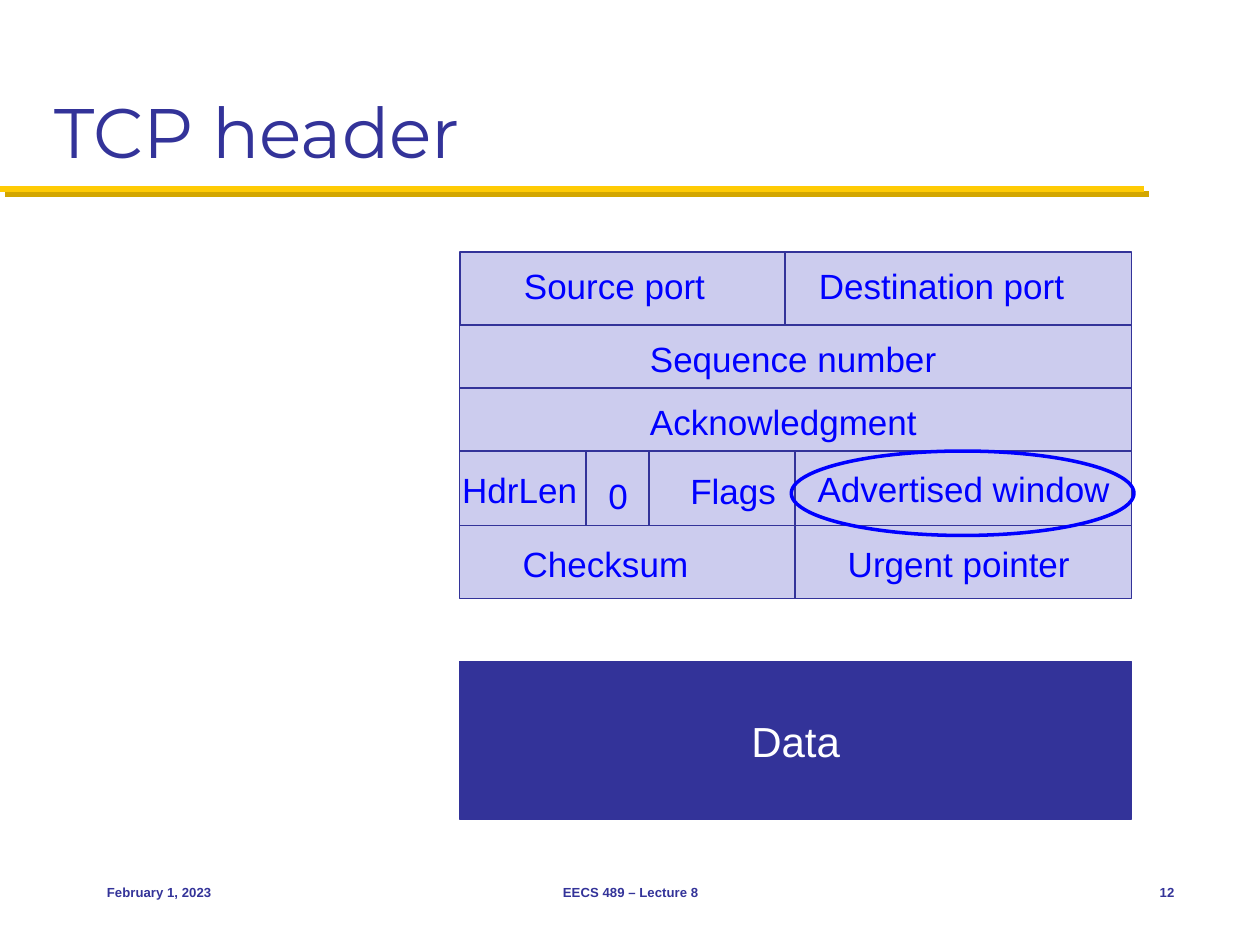
from itertools import pairwise
from lxml import etree
from pptx import Presentation
from pptx.dml.color import RGBColor as RGB
from pptx.enum.shapes import MSO_CONNECTOR as LINK, MSO_SHAPE as SHAPE
from pptx.enum.text import MSO_ANCHOR as ANCHOR, MSO_AUTO_SIZE as FIT, PP_ALIGN as ALIGN
from pptx.oxml.ns import qn
from pptx.util import Inches, Pt

COLORS = {"ink": "333399", "cell": "CCCCEE", "label": "0000FF",
          "rule": "FFCB05", "shade": "D3A600", "white": "FFFFFF"}


class Page:
    font = "Arial"

    def __init__(self, deck):
        self.slide = deck.slides.add_slide(deck.slide_layouts[5])
        self.shapes = self.slide.shapes

    def color(self, name):
        return RGB.from_string(COLORS[name])

    def words(self, shape, text, size, color, align=ALIGN.LEFT,
              anchor=ANCHOR.MIDDLE, font=None, bold=False, wrap=False):
        frame = shape.text_frame
        frame.text = text
        frame.word_wrap = wrap
        frame.vertical_anchor = anchor
        para = frame.paragraphs[0]
        para.alignment = align
        face = para.runs[0].font
        face.name, face.size, face.bold = font or self.font, Pt(size), bold
        face.color.rgb = self.color(color)

    def title(self, text, *box):
        shape = self.shapes.title
        shape.left, shape.top, shape.width, shape.height = map(Inches, box)
        self.words(shape, text, 40, "ink", anchor=ANCHOR.BOTTOM,
                   font="Montserrat", wrap=True)
        shape.text_frame.auto_size = FIT.NONE

    def block(self, *box, fill=None, line=None, width=0.75, kind=SHAPE.RECTANGLE):
        shape = self.shapes.add_shape(kind, *map(Inches, box))
        shape.shadow.inherit = False
        if fill:
            shape.fill.solid()
            shape.fill.fore_color.rgb = self.color(fill)
        else:
            shape.fill.background()
        if line:
            shape.line.color.rgb = self.color(line)
            shape.line.width = Pt(width)
        else:
            shape.line.fill.background()
        return shape

    def label(self, text, left, top, width, fill="cell"):
        shape = self.block(left, top, width, 0.43, fill=fill)
        self.words(shape, text, 20, "label", anchor=ANCHOR.TOP)

    def note(self, text, left, width, align):
        box = self.shapes.add_textbox(*map(Inches, (left, 6.83, width, 0.5)))
        self.words(box, text, 7.5, "ink", align, bold=True)

    def line(self, *ends, color="ink", width=0.75, shade=None):
        link = self.shapes.add_connector(LINK.STRAIGHT, *map(Inches, ends))
        link.line.color.rgb = self.color(color)
        link.line.width = Pt(width)
        props = link._element.spPr
        effect = etree.SubElement(props, qn("a:effectLst"))
        if shade:
            cast = etree.SubElement(effect, qn("a:outerShdw"), dist=str(Pt(4.2)),
                                    dir="2700000", algn="ctr", rotWithShape="0")
            etree.SubElement(cast, qn("a:srgbClr"), val=COLORS[shade])


deck = Presentation()
deck.slide_width, deck.slide_height = Inches(10), Inches(7.5)
page = Page(deck)

# Title and rule
page.line(0, 1.5, 9.08, 1.5, color="rule", width=3.5, shade="shade")
page.title("TCP header", 0.33, 0.17, 9.33, 1.25)

# Header fields: row edges, and the inner split of each row
LEFT, RIGHT = 3.65, 8.98
tops = [2, 2.58, 3.08, 3.58, 4.17, 4.75]
splits = [[6.23], [], [], [6.31], [6.31]]
for (top, low), split in zip(pairwise(tops), splits):
    for start, end in pairwise([LEFT, *split, RIGHT]):
        page.block(start, top, end - start, low - top, fill="cell", line="ink")

# Field names
for text, left, top, width in [
        ("Source port", 4.06, 2.05, 1.64),
        ("Destination port", 6.4, 2.05, 2.15),
        ("Sequence number", 5.06, 2.63, 2.47),
        ("Acknowledgment", 5.06, 3.13, 2.34),
        ("Advertised window", 6.39, 3.66, 2.54),
        ("Flags", 5.38, 3.68, 0.89),
        ("0", 4.73, 3.72, 0.36),
        ("Checksum", 4.05, 4.26, 1.51),
        ("Urgent pointer", 6.63, 4.26, 1.96)]:
    page.label(text, left, top, width)
page.label("HdrLen", 3.57, 3.67, 1.17, fill=None)
for x in (4.65, 5.15):
    page.line(x, tops[3], x, tops[4])

# Data and highlight
data = page.block(LEFT, 5.25, RIGHT - LEFT, 1.25, fill="ink", line="ink")
page.words(data, "Data", 24, "white", ALIGN.CENTER)
page.block(6.28, 3.58, 2.72, 0.67, line="label", width=2, kind=SHAPE.OVAL)

# Footer
page.note("February 1, 2023", 0.75, 2.08, ALIGN.LEFT)
page.note("EECS 489 – Lecture 8", 3.42, 3.17, ALIGN.CENTER)
page.note("12", 8.75, 0.67, ALIGN.RIGHT)

deck.save("out.pptx")
